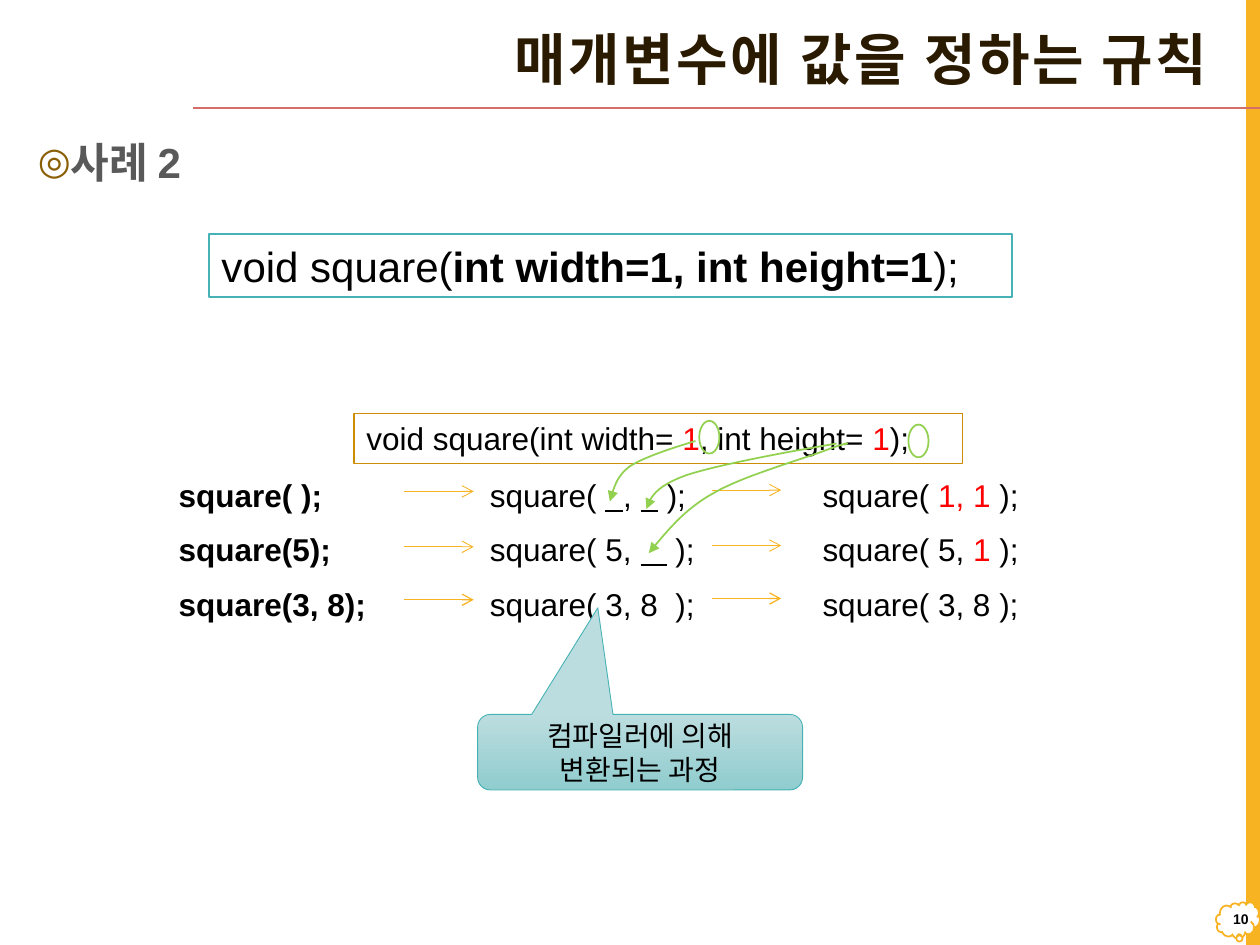
"""Build a slide on how default arguments fill in function parameters."""
from dataclasses import dataclass

import pptx
import pptx.dml.color
import pptx.enum.shapes
import pptx.enum.text
import pptx.oxml
import pptx.oxml.ns
import pptx.util

Inches, Pt = pptx.util.Inches, pptx.util.Pt
SHAPE = pptx.enum.shapes.MSO_SHAPE
ALIGN = pptx.enum.text.PP_ALIGN
ANCHOR = pptx.enum.text.MSO_ANCHOR


@dataclass(frozen=True)
class Theme:
    font: str = "Arial"
    title_font: str = "Arial Narrow"
    black: str = "000000"
    white: str = "FFFFFF"
    title: str = "2A1A00"
    body: str = "595959"
    bullet: str = "895E04"
    red: str = "FF0000"
    amber: str = "F8B323"
    gold: str = "CE8D07"
    rule: str = "D36F68"
    green: str = "92D050"
    teal: str = "46B2B5"
    teal_top: str = "BCDDDF"
    teal_bottom: str = "90CCCE"
    title_pt: int = 32
    head_pt: int = 24
    code_pt: int = 18
    note_pt: int = 16
    number_pt: int = 8


@dataclass(frozen=True)
class Span:
    text: str
    color: str = Theme.black
    bold: bool = False
    underline: bool = False


@dataclass(frozen=True)
class Call:
    y: float
    arrow_y: float
    arrow_pt: float
    written: Span
    expanded: list[Span]
    result: list[Span]


Point = tuple[float, float]
T = Theme()


def rgb(value: str) -> pptx.dml.color.RGBColor:
    """Return the colour for a hex value."""
    return pptx.dml.color.RGBColor.from_string(value)


def add_xml(parent, tag: str, **attributes: str):
    """Append a DrawingML element to a parent and return it."""
    element = pptx.oxml.parse_xml(f"<a:{tag} {pptx.oxml.ns.nsdecls('a')}/>")
    for name, value in attributes.items():
        element.set(name, value)
    parent.append(element)
    return element


def set_text(sp, spans: list[Span], size: int, align=ALIGN.LEFT, anchor=ANCHOR.TOP, font: str = T.font):
    """Write one paragraph of formatted spans and return it."""
    tf = sp.text_frame
    tf.word_wrap = True
    tf.auto_size = pptx.enum.text.MSO_AUTO_SIZE.NONE
    tf.vertical_anchor = anchor
    p = tf.paragraphs[0]
    p.alignment = align
    for span in spans:
        r = p.add_run()
        r.text = span.text
        r.font.name, r.font.size = font, Pt(size)
        r.font.bold, r.font.underline = span.bold, span.underline
        r.font.color.rgb = rgb(span.color)
    return p


def set_line(sp, color: str, width: float, arrow: str = "") -> None:
    """Set the outline and an optional arrowhead at its end."""
    sp.line.color.rgb = rgb(color)
    sp.line.width = Pt(width)
    if arrow:
        add_xml(sp._element.spPr.find(pptx.oxml.ns.qn("a:ln")), "tailEnd", type=arrow)


def place(sp, x: float, y: float, w: float, h: float) -> None:
    """Move and size a placeholder."""
    sp.left, sp.top, sp.width, sp.height = map(Inches, (x, y, w, h))


def add_text(s, x: float, y: float, w: float, h: float, spans: list[Span], size: int = T.code_pt, **layout):
    """Add a text box and return it."""
    sp = s.shapes.add_textbox(*map(Inches, (x, y, w, h)))
    set_text(sp, spans, size, **layout)
    return sp


def add_shape(s, kind, x: float, y: float, w: float, h: float, fill: str = "", line: str = "", width: float = 1):
    """Add a preset shape without shadow and return it."""
    sp = s.shapes.add_shape(kind, *map(Inches, (x, y, w, h)))
    sp.shadow.inherit = False
    if fill:
        sp.fill.solid()
        sp.fill.fore_color.rgb = rgb(fill)
    else:
        sp.fill.background()
    if line:
        set_line(sp, line, width)
    else:
        sp.line.fill.background()
    return sp


def add_line(s, x1: float, x2: float, y: float, color: str, width: float, arrow: str = "") -> None:
    """Add a horizontal line."""
    sp = s.shapes.add_connector(pptx.enum.shapes.MSO_CONNECTOR.STRAIGHT, *map(Inches, (x1, y, x2, y)))
    set_line(sp, color, width, arrow)
    add_xml(sp._element.spPr, "effectLst")


def bezier(points: list[Point], t: float) -> Point:
    """Return the point at t on a cubic curve."""
    weights = ((1 - t) ** 3, 3 * t * (1 - t) ** 2, 3 * t * t * (1 - t), t ** 3)
    x, y = (sum(w * p[axis] for w, p in zip(weights, points)) for axis in (0, 1))
    return x, y


def add_curve(s, points: list[Point], steps: int = 12) -> None:
    """Draw a chain of cubic curves ending in an arrowhead."""
    path = [bezier(points[i:i + 4], n / steps)
            for i in range(0, len(points) - 1, 3) for n in range(1, steps + 1)]
    builder = s.shapes.build_freeform(*map(Inches, points[0]))
    builder.add_line_segments([(Inches(x), Inches(y)) for x, y in path], close=False)
    sp = builder.convert_to_shape()
    sp.shadow.inherit = False
    sp.fill.background()
    set_line(sp, T.green, 1, "triangle")


def add_call(s, call: Call) -> None:
    """Draw one call, its expansion and its result."""
    add_text(s, 1.32, call.y, 1.81, 0.4, [call.written])
    add_text(s, 3.79, call.y, 2.02, 0.4, call.expanded)
    add_text(s, 6.43, call.y, 1.86, 0.4, call.result)
    add_line(s, 3.21, 3.76, call.arrow_y, T.amber, call.arrow_pt, "arrow")
    add_line(s, 5.65, 6.2, call.arrow_y - 0.01, T.amber, call.arrow_pt, "arrow")


CALLS = [
    Call(3.73, 3.9, 0.5, Span("square( );", bold=True),
         [Span("square( "), Span("  ", underline=True), Span(", "), Span("  ", underline=True), Span(" );")],
         [Span("square( "), Span("1, 1 ", T.red), Span(");")]),
    Call(4.16, 4.34, 0.5, Span("square(5);", bold=True),
         [Span("square( 5, "), Span("   ", underline=True), Span(" );")],
         [Span("square( 5, "), Span("1", T.red), Span(" );")]),
    Call(4.59, 4.76, 0.75, Span("square(3, 8);", bold=True),
         [Span("square( 3, 8  );")], [Span("square( 3, 8 );")]),
]
CURVES = [
    [(5.52, 3.5), (5.32, 3.56), (5.11, 3.63), (5, 3.7), (4.89, 3.78), (4.87, 3.88), (4.84, 3.98)],
    [(6.7, 3.53), (6.73, 3.52), (6.76, 3.5), (6.59, 3.56), (6.42, 3.63), (5.91, 3.77), (5.67, 3.91),
     (5.43, 4.04), (5.29, 4.22), (5.15, 4.39)],
    [(6.64, 3.52), (6.17, 3.6), (5.7, 3.69), (5.45, 3.77), (5.2, 3.86), (5.16, 3.95), (5.13, 4.04)],
]


def add_frame(s) -> None:
    """Draw the side bar, page number, title and heading."""
    add_shape(s, SHAPE.RECTANGLE, 9.89, 0, 0.11, 7.5, T.amber)
    cloud = add_shape(s, SHAPE.CLOUD_CALLOUT, 9.65, 7.16, 0.35, 0.29, T.white, T.amber)
    cloud.adjustments[0], cloud.adjustments[1] = 0.03, 0.43
    add_line(s, 10, 1.53, 0.86, T.rule, 1)
    add_text(s, 9.66, 7.12, 0.35, 0.35, [Span("10", bold=True)], T.number_pt,
             align=ALIGN.RIGHT, anchor=ANCHOR.MIDDLE)
    title, body = s.placeholders
    place(title, 1.32, 0.13, 8.37, 0.73)
    p = set_text(title, [Span("매개변수에 값을 정하는 규칙", T.title, True)], T.title_pt,
                 ALIGN.RIGHT, ANCHOR.MIDDLE, T.title_font)
    p.line_spacing = 0.9
    p.runs[0].font._element.set("spc", "150")
    place(body, 0.2, 0.99, 9.53, 6.38)
    p = set_text(body, [Span("사례 2", T.body, True)], T.head_pt)
    p.line_spacing, p.space_before = 1.1, Pt(0)
    props = p._element.get_or_add_pPr()
    props.set("marL", str(Inches(0.25)))
    props.set("indent", str(Inches(-0.25)))
    add_xml(add_xml(props, "buClr"), "srgbClr", val=T.bullet)
    add_xml(props, "buSzPct", val="90000")
    add_xml(props, "buChar", char="◎")


def add_callout(s) -> None:
    """Draw the note that points at the expanded calls."""
    sp = add_shape(s, SHAPE.ROUNDED_RECTANGULAR_CALLOUT, 3.79, 5.67, 2.58, 0.6, line=T.teal, width=0.5)
    for i, value in enumerate((-0.13, -1.91, 0.17)):
        sp.adjustments[i] = value
    sp.fill.gradient()
    sp.fill.gradient_angle = 270
    for stop, color in zip(sp.fill.gradient_stops, (T.teal_top, T.teal_bottom)):
        stop.color.rgb = rgb(color)
    set_text(sp, [Span("컴파일러에 의해 변환되는 과정")], T.note_pt, ALIGN.CENTER, ANCHOR.MIDDLE)


def main() -> None:
    """Build and save the slide."""
    prs = pptx.Presentation()
    prs.slide_width, prs.slide_height = Inches(10), Inches(7.5)
    s = prs.slides.add_slide(prs.slide_layouts[1])
    add_frame(s)
    sp = add_text(s, 2.81, 3.28, 4.83, 0.4, [
        Span("void square(int width= "), Span("1", T.red), Span(", int height= "), Span("1", T.red), Span(");")])
    set_line(sp, T.gold, 0.75)
    for call in CALLS:
        add_call(s, call)
    for x, y in ((5.55, 3.34), (7.21, 3.37)):
        add_shape(s, SHAPE.OVAL, x, y, 0.16, 0.26, line=T.green)
    for points in CURVES:
        add_curve(s, points)
    sp = add_text(s, 1.66, 1.86, 6.37, 0.5, [
        Span("void square("), Span("int width=1, int height=1", bold=True), Span(");")], T.head_pt)
    set_line(sp, T.teal, 1)
    add_callout(s)
    prs.save("out.pptx")


if __name__ == "__main__":
    main()
